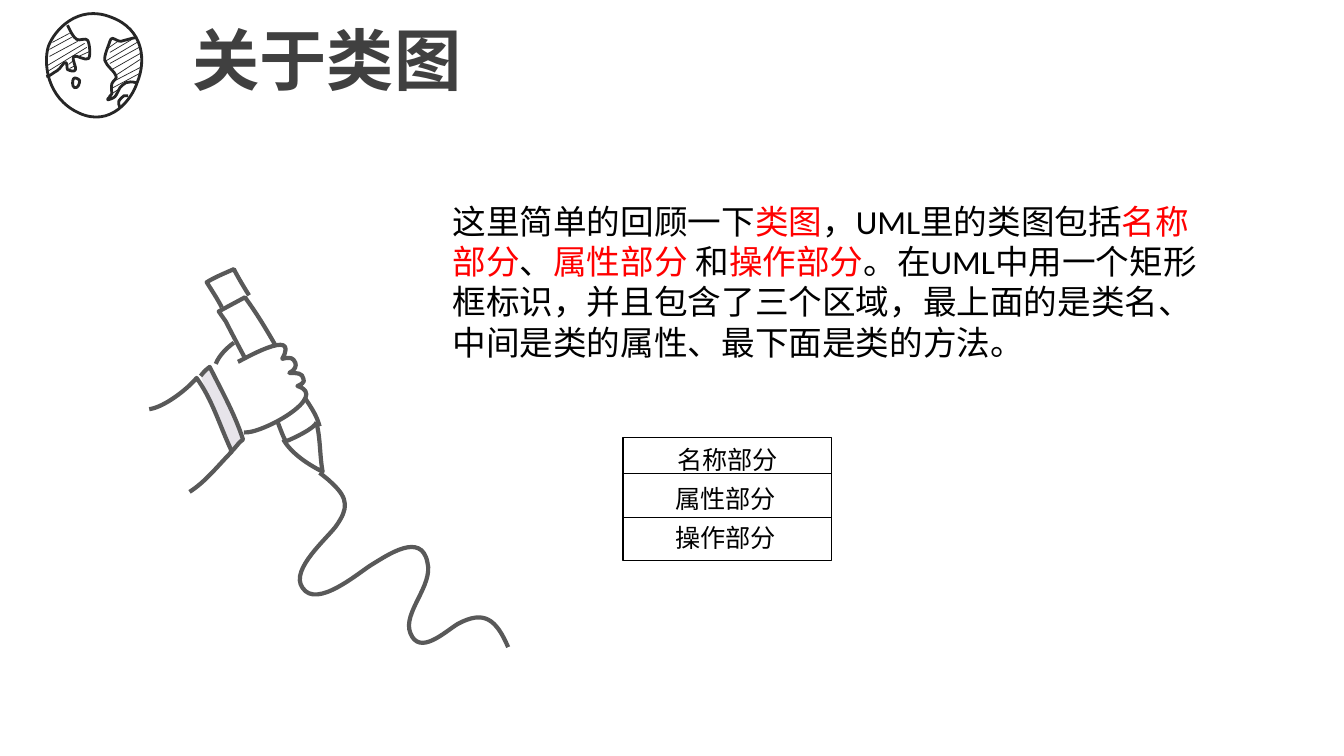
import pptx
import pptx.dml.color
import pptx.enum.shapes
import pptx.oxml.ns
import pptx.util

COLUMNS, ROWS = 13.33, 7.5
CELL = pptx.util.Inches(1)
COLORS = {"ink": "262626", "title": "404040", "pen": "595959", "cuff": "E7E4EA",
          "white": "FFFFFF", "black": "000000", "red": "FF0000"}

GLOBE = [
    [(0.48, 0.46), (0.54, 0.3, 0.77, 0.04, 1.1, 0.17), (1.43, 0.29, 1.45, 0.61, 1.36, 0.82),
     (1.31, 0.98, 1.1, 1.27, 0.78, 1.12), (0.46, 0.97, 0.43, 0.62, 0.48, 0.46)],
    [(0.67, 0.25), (0.7, 0.31, 0.72, 0.36, 0.76, 0.39), (0.79, 0.41, 0.85, 0.37, 0.87, 0.4),
     (0.89, 0.43, 0.9, 0.55, 0.88, 0.58), (0.85, 0.61, 0.76, 0.54, 0.73, 0.56),
     (0.71, 0.58, 0.76, 0.67, 0.75, 0.69), (0.74, 0.72, 0.69, 0.7, 0.67, 0.69),
     (0.66, 0.67, 0.67, 0.62, 0.65, 0.62), (0.63, 0.62, 0.6, 0.68, 0.57, 0.7),
     (0.53, 0.72, 0.49, 0.76, 0.46, 0.76)],
    [(0.73, 0.78), (0.74, 0.76, 0.79, 0.79, 0.79, 0.8), (0.79, 0.82, 0.78, 0.88, 0.74, 0.87),
     (0.71, 0.86, 0.72, 0.79, 0.73, 0.78)],
    [(1.36, 0.37), (1.3, 0.38, 1.24, 0.4, 1.2, 0.41), (1.16, 0.41, 1.14, 0.38, 1.12, 0.38),
     (1.1, 0.39, 1.1, 0.38, 1.09, 0.41), (1.08, 0.45, 1.03, 0.55, 1.04, 0.6),
     (1.06, 0.66, 1.14, 0.71, 1.15, 0.75), (1.17, 0.78, 1.12, 0.8, 1.11, 0.83),
     (1.1, 0.87, 1.11, 0.91, 1.11, 0.93), (1.1, 0.96, 1.06, 0.98, 1.07, 0.99),
     (1.07, 0.99, 1.12, 0.98, 1.14, 0.96), (1.16, 0.94, 1.17, 0.9, 1.19, 0.87),
     (1.21, 0.85, 1.23, 0.83, 1.25, 0.82), (1.28, 0.81, 1.31, 0.81, 1.35, 0.82)],
    [(1.27, 0.95), (1.26, 0.95, 1.25, 0.94, 1.23, 0.95), (1.22, 0.96, 1.19, 0.98, 1.18, 1),
     (1.17, 1.02, 1.18, 1.04, 1.19, 1.07)],
]

HATCHING = [
    (1.14, 0.8, 1.39, 0.67), (1.04, 0.61, 1.36, 0.42), (0.52, 0.42, 0.69, 0.33),
    (1.16, 0.74, 1.39, 0.59), (0.47, 0.71, 0.86, 0.47), (1.11, 0.69, 1.41, 0.52),
    (1.09, 0.63, 1.38, 0.47), (1.09, 0.52, 1.31, 0.39), (0.78, 0.56, 0.89, 0.51),
    (0.49, 0.56, 0.77, 0.41), (1.12, 0.87, 1.4, 0.72), (1.08, 0.95, 1.17, 0.89),
    (1.07, 0.48, 1.17, 0.41), (0.49, 0.49, 0.71, 0.37), (0.47, 0.65, 0.84, 0.43),
    (0.68, 0.64, 0.73, 0.6), (0.69, 0.68, 0.75, 0.65),
]

HAND_AND_PEN = [
    (None, [(3.17, 4.69), (3.22, 4.73, 3.25, 4.75, 3.3, 4.8), (3.46, 4.95, 3.45, 5.05, 3.34, 5.21),
            (3.26, 5.33, 2.87, 5.65, 3, 5.83), (3.14, 6.05, 3.57, 5.67, 3.69, 5.6),
            (3.84, 5.51, 4.18, 5.27, 4.24, 5.58), (4.3, 5.81, 3.99, 6.08, 4.07, 6.28),
            (4.16, 6.51, 4.41, 6.27, 4.54, 6.19), (4.8, 6.05, 4.92, 6.14, 5.04, 6.42)]),
    ("white", [(3.17, 4.23), (3.14, 4.11, 3.07, 4.02, 3, 3.91), (2.82, 3.59, 2.65, 3.25, 2.43, 2.95),
               (2.17, 3.09), (2.24, 3.19), (2.33, 3.37, 2.6, 3.87, 2.69, 4.04),
               (2.75, 4.15, 2.78, 4.28, 2.84, 4.39)]),
    (None, [(3.14, 4.19), (3.12, 4.25, 2.91, 4.35, 2.83, 4.38)]),
    (None, [(2.14, 3.61), (2.17, 3.53, 2.25, 3.45, 2.32, 3.4)]),
    ("white", [(2.36, 3.59), (2.37, 3.59, 2.98, 3.23, 2.8, 3.56), (2.88, 3.54, 2.91, 3.55, 2.93, 3.6),
               (2.94, 3.63, 2.93, 3.67, 2.87, 3.7), (2.95, 3.7, 3, 3.7, 3.01, 3.76),
               (3.03, 3.79, 2.98, 3.82, 2.95, 3.83), (3.28, 3.93, 2.59, 4.31, 2.42, 4.29)]),
    ("cuff", [(1.99, 3.73), (2.01, 3.7, 2.05, 3.66, 2.08, 3.64), (2.2, 3.88, 2.33, 4.11, 2.41, 4.36),
              (2.36, 4.39, 2.33, 4.46, 2.28, 4.49)]),
    (None, [(1.48, 4.06), (1.63, 4.04, 1.86, 3.86, 1.95, 3.75), (2.11, 3.97, 2.18, 4.23, 2.3, 4.48),
            (2.17, 4.61, 2.04, 4.78, 1.88, 4.88)]),
    (None, [(2.47, 2.93), (2.42, 2.85, 2.36, 2.75, 2.32, 2.67), (2.23, 2.71, 2.13, 2.75, 2.05, 2.8),
            (2.1, 2.88, 2.16, 2.97, 2.2, 3.05)]),
    (None, [(2.81, 4.36), (2.89, 4.5, 3.06, 4.61, 3.2, 4.68), (3.17, 4.52, 3.18, 4.36, 3.14, 4.2)]),
]

REVIEW = [
    ("这里简单的回顾一下", "black"), ("类图", "red"), ("，UML里的类图包括", "black"),
    ("名称部分", "red"), ("、", "black"), ("属性部分 ", "red"), ("和", "black"),
    ("操作部分", "red"),
    ("。在UML中用一个矩形框标识，并且包含了三个区域，最上面的是类名、"
     "中间是类的属性、最下面是类的方法。", "black"),
]
CLASS_PARTS = [("名称部分", 6.62, 4.36), ("属性部分", 6.6, 4.75), ("操作部分", 6.6, 5.13)]
DIVIDERS = [(6.18, 4.7, 8.25, 4.7), (6.17, 5.13, 8.24, 5.13)]


def grid(*cells):
    return [round(cell * CELL) for cell in cells]


def rgb(name):
    return pptx.dml.color.RGBColor.from_string(COLORS[name])


def style_outline(shape, color, weight, fill=None):
    shape.shadow.inherit = False
    shape.line.color.rgb = rgb(color)
    shape.line.width = pptx.util.Pt(weight)
    if fill:
        shape.fill.solid()
        shape.fill.fore_color.rgb = rgb(fill)
    else:
        shape.fill.background()


def bend(shape, segments):
    lines = iter(list(shape._element.iter(pptx.oxml.ns.qn("a:lnTo"))))
    for segment in segments:
        controls = [next(lines) for _ in range(len(segment) // 2)]
        if len(controls) == 3:
            curve = controls[0].makeelement(pptx.oxml.ns.qn("a:cubicBezTo"), {})
            controls[0].addprevious(curve)
            for control in controls:
                curve.append(control[0])
                control.getparent().remove(control)


def add_stroke(page, segments, color, weight, fill=None):
    points = [grid(*segment[i:i + 2]) for segment in segments for i in range(0, len(segment), 2)]
    builder = page.shapes.build_freeform(*points[0])
    builder.add_line_segments(points[1:], close=points[0] == points[-1])
    stroke = builder.convert_to_shape()
    bend(stroke, segments[1:])
    style_outline(stroke, color, weight, fill)


def add_rule(page, ends, color):
    rule = page.shapes.add_connector(pptx.enum.shapes.MSO_CONNECTOR.STRAIGHT, *grid(*ends))
    rule.line.color.rgb = rgb(color)
    rule.line.width = pptx.util.Pt(0.5)
    properties = rule._element.spPr
    properties.append(properties.makeelement(pptx.oxml.ns.qn("a:effectLst"), {}))


def add_span(para, text, size=18, color="black", font="Calibri", bold=False):
    span = para.add_run()
    span.text = text
    span.font.size = pptx.util.Pt(size)
    span.font.bold = bold
    span.font.name = font
    span.font.color.rgb = rgb(color)
    properties = span.font._element
    properties.append(properties.makeelement(pptx.oxml.ns.qn("a:ea"), {"typeface": "Calibri"}))


def add_text(page, area, spans, wrap=False, **style):
    box = page.shapes.add_textbox(*grid(*area))
    box.text_frame.word_wrap = wrap
    for text, color in spans:
        add_span(box.text_frame.paragraphs[0], text, color=color, **style)


def add_class_box(page):
    frame = page.shapes.add_shape(pptx.enum.shapes.MSO_SHAPE.RECTANGLE, *grid(6.18, 4.34, 2.07, 1.22))
    style_outline(frame, "black", 1)
    for ends in DIVIDERS:
        add_rule(page, ends, "black")
    for part, left, top in CLASS_PARTS:
        add_text(page, (left, top, 1.2, 0.4), [(part, "black")])


def main():
    deck = pptx.Presentation()
    deck.slide_width, deck.slide_height = grid(COLUMNS, ROWS)
    page = deck.slides.add_slide(deck.slide_layouts[6])
    for segments in GLOBE:
        add_stroke(page, segments, "ink", 2)
    for ends in HATCHING:
        add_stroke(page, [ends[:2], ends[2:]], "ink", 0.5)
    add_text(page, (1.81, 0.13, 2.88, 0.91), [("关于类图", "title")],
             size=48, font="Noto Sans CJK SC", bold=True)
    for fill, segments in HAND_AND_PEN:
        add_stroke(page, segments, "pen", 3, fill)
    add_text(page, (4.39, 1.94, 7.72, 2.02), REVIEW, wrap=True, size=24)
    add_class_box(page)
    deck.save("out.pptx")


if __name__ == "__main__":
    main()
